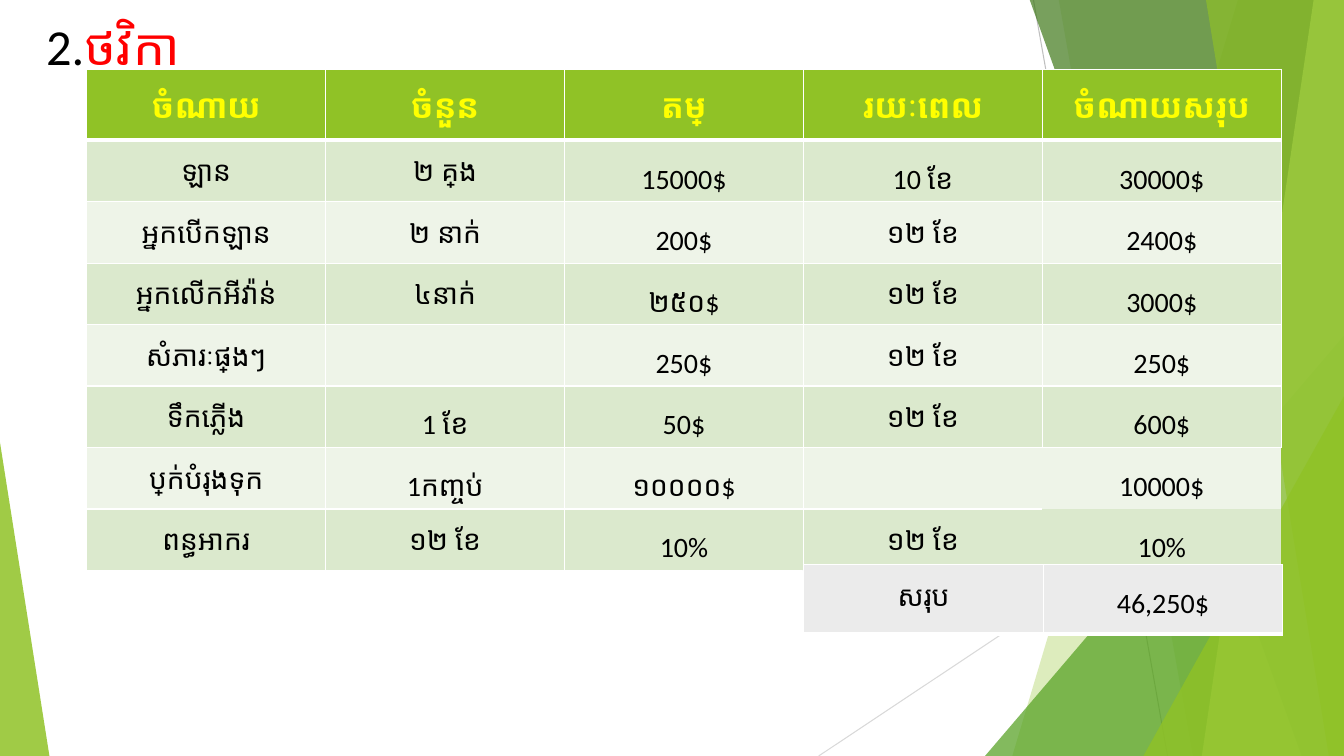
from lxml import etree
from pptx import Presentation
from pptx.dml.color import RGBColor
from pptx.enum.shapes import MSO_CONNECTOR, MSO_SHAPE
from pptx.enum.text import PP_ALIGN
from pptx.oxml import parse_xml
from pptx.oxml.ns import nsdecls, qn
from pptx.util import Inches, Pt

WHITE = RGBColor(0xFF, 0xFF, 0xFF)
BLACK = RGBColor(0x00, 0x00, 0x00)
RED = RGBColor(0xFF, 0x00, 0x00)
YELLOW = RGBColor(0xFF, 0xFF, 0x00)
LIME = RGBColor(0x90, 0xC2, 0x26)
LEAF = RGBColor(0x54, 0xA0, 0x21)
FOREST = RGBColor(0x3F, 0x78, 0x19)
PALE_LIME = RGBColor(0xC0, 0xE4, 0x74)
BAND_DARK = RGBColor(0xDB, 0xE9, 0xCD)
BAND_LIGHT = RGBColor(0xEE, 0xF4, 0xE8)
TOTAL_GRAY = RGBColor(0xEB, 0xEB, 0xEB)
LINE_GRAY = RGBColor(0xBF, 0xBF, 0xBF)
LINE_PALE = RGBColor(0xD9, 0xD9, 0xD9)

TOP, BOTTOM, RIGHT = -0.01, 7.5, 13.33

HEADERS = ["ចំណាយ", "ចំនួន", "តម្លៃ", "រយៈពេល", "ចំណាយសរុប"]
EXPENSES = [
    ["ឡាន", "២ គ្រឿង", "15000$", "10 ខែ", "30000$"],
    ["អ្នកបើកឡាន", "២ នាក់", "200$", "១២ ខែ", "2400$"],
    ["អ្នកលើកអីវ៉ាន់", "៤នាក់", "២៥០$", "១២ ខែ", "3000$"],
    ["សំភារៈផ្សេងៗ", "", "250$", "១២ ខែ", "250$"],
    ["ទឹកភ្លើង", "1 ខែ", "50$", "១២ ខែ", "600$"],
    ["ប្រាក់បំរុងទុក", "1កញ្ចប់", "១០០០០$", "", "10000$"],
    ["ពន្ធអាករ", "១២ ខែ", "10%", "១២ ខែ", "10%"],
]
TOTAL = ["សរុប", "46,250$"]

THIN = {side: (WHITE, 1) for side in "LRTB"}
THICK_BOTTOM = {**THIN, "B": (WHITE, 3)}
OPEN_CELLS = {
    (6, 3): {**THIN, "R": None},
    (6, 4): {"L": None, "R": None, "T": (WHITE, 1), "B": None},
    (7, 3): {**THIN, "R": None, "B": (BLACK, 1)},
    (7, 4): dict.fromkeys("LRTB"),
}


class SlideBuilder:
    def __init__(self, slide, font="Calibri"):
        self.shapes = slide.shapes
        self.font = font

    def line(self, x1, y1, x2, y2, color):
        c = self.shapes.add_connector(MSO_CONNECTOR.STRAIGHT, Inches(x1), Inches(y1),
                                      Inches(x2), Inches(y2))
        c.line.color.rgb = color
        c.line.width = Pt(0.75)
        etree.SubElement(c._element.spPr, qn("a:effectLst"))

    def paint(self, sp, color, opacity):
        sp.shadow.inherit = False
        sp.fill.solid()
        sp.fill.fore_color.rgb = color
        sp.line.fill.background()
        clr = sp._element.spPr.find(qn("a:solidFill"))[0]
        etree.SubElement(clr, qn("a:alpha"), val=str(opacity * 1000))

    def facet(self, top_left, bottom_left, color, opacity):
        """Full-height panel from a slanted left edge to the slide's right edge."""
        fb = self.shapes.build_freeform(Inches(top_left), Inches(TOP))
        fb.add_line_segments([(Inches(x), Inches(y)) for x, y in (
            (RIGHT, TOP), (RIGHT, BOTTOM), (bottom_left, BOTTOM))], close=True)
        self.paint(fb.convert_to_shape(), color, opacity)

    def triangle(self, x, y, w, h, apex, color, opacity):
        sp = self.shapes.add_shape(MSO_SHAPE.ISOSCELES_TRIANGLE, Inches(x), Inches(y),
                                   Inches(w), Inches(h))
        sp.adjustments[0] = apex
        self.paint(sp, color, opacity)

    def title(self, x, y, w, h, runs):
        tf = self.shapes.add_textbox(Inches(x), Inches(y), Inches(w), Inches(h)).text_frame
        tf.word_wrap = True
        p = tf.paragraphs[0]
        p.font.size = Pt(36)
        p.font.name = self.font
        for text, color in runs:
            r = p.add_run()
            r.text = text
            r.font.color.rgb = color

    def table(self, x, y, widths, heights):
        frame = self.shapes.add_table(len(heights), len(widths), Inches(x), Inches(y),
                                      Inches(sum(widths)), Inches(sum(heights)))
        table = frame.table
        table.first_row = table.horz_banding = False
        for column, width in zip(table.columns, widths):
            column.width = Inches(width)
        for row, height in zip(table.rows, heights):
            row.height = Inches(height)
        return table

    def cell(self, cell, text, fill, borders, size=20, color=BLACK, bold=False, font=None):
        cell.fill.solid()
        cell.fill.fore_color.rgb = fill
        p = cell.text_frame.paragraphs[0]
        p.alignment = PP_ALIGN.CENTER
        if text:
            p.line_spacing = 1.5
            p.font.size = Pt(size)
            p.font.name = font or self.font
            p.font.bold = bold
            p.font.color.rgb = color
            p.add_run().text = text
        self.borders(cell, borders)

    def borders(self, cell, borders):
        tc_pr = cell._tc.get_or_add_tcPr()
        for i, side in enumerate("LRTB"):
            if borders[side]:
                color, width = borders[side]
                size = f'w="{Pt(width)}"'
                fill = f'<a:solidFill><a:srgbClr val="{color}"/></a:solidFill>'
            else:
                size, fill = "", "<a:noFill/>"
            tc_pr.insert(i, parse_xml(f'<a:ln{side} {nsdecls("a")} {size}>{fill}</a:ln{side}>'))


def draw_background(s):
    s.line(10.25, 0, 11.58, BOTTOM, LINE_GRAY)
    s.line(RIGHT, 4.03, 8.12, BOTTOM, LINE_PALE)
    s.facet(12.28, 10.04, LIME, 30)
    s.facet(10.5, 11.83, LIME, 20)
    s.triangle(9.77, 3.33, 3.56, 4.17, 1, LEAF, 72)
    s.facet(10.21, 12.91, FOREST, 70)
    s.facet(13.03, 11.92, PALE_LIME, 70)
    s.facet(11.96, 13.18, LIME, 65)
    s.triangle(11.34, 3.93, 1.99, 3.57, 1, LIME, 80)
    s.triangle(0, 4.39, 0.49, 3.11, 0, LIME, 85)


def draw_budget(s):
    budget = s.table(0.86, 0.69, [2.37] * 5, [0.57] + [0.61] * len(EXPENSES))
    for col, text in enumerate(HEADERS):
        s.cell(budget.cell(0, col), text, LIME, THICK_BOTTOM, size=24, color=YELLOW,
               bold=True, font="Lato" if col else None)
    for row, texts in enumerate(EXPENSES, 1):
        band = BAND_DARK if row % 2 else BAND_LIGHT
        for col, text in enumerate(texts):
            s.cell(budget.cell(row, col), text, band, OPEN_CELLS.get((row, col), THIN))

    total = s.table(7.97, 5.6, [2.38, 2.37], [0.69])
    for col, text in enumerate(TOTAL):
        s.cell(total.cell(0, col), text, TOTAL_GRAY, THICK_BOTTOM)


def main():
    prs = Presentation()
    prs.slide_width, prs.slide_height = Inches(13.33), Inches(7.5)
    s = SlideBuilder(prs.slides.add_slide(prs.slide_layouts[6]))
    draw_background(s)
    s.title(0.36, 0.1, 3.11, 0.58, [("2.", BLACK), ("ថវិកា", RED)])
    draw_budget(s)
    prs.save("out.pptx")


if __name__ == "__main__":
    main()
